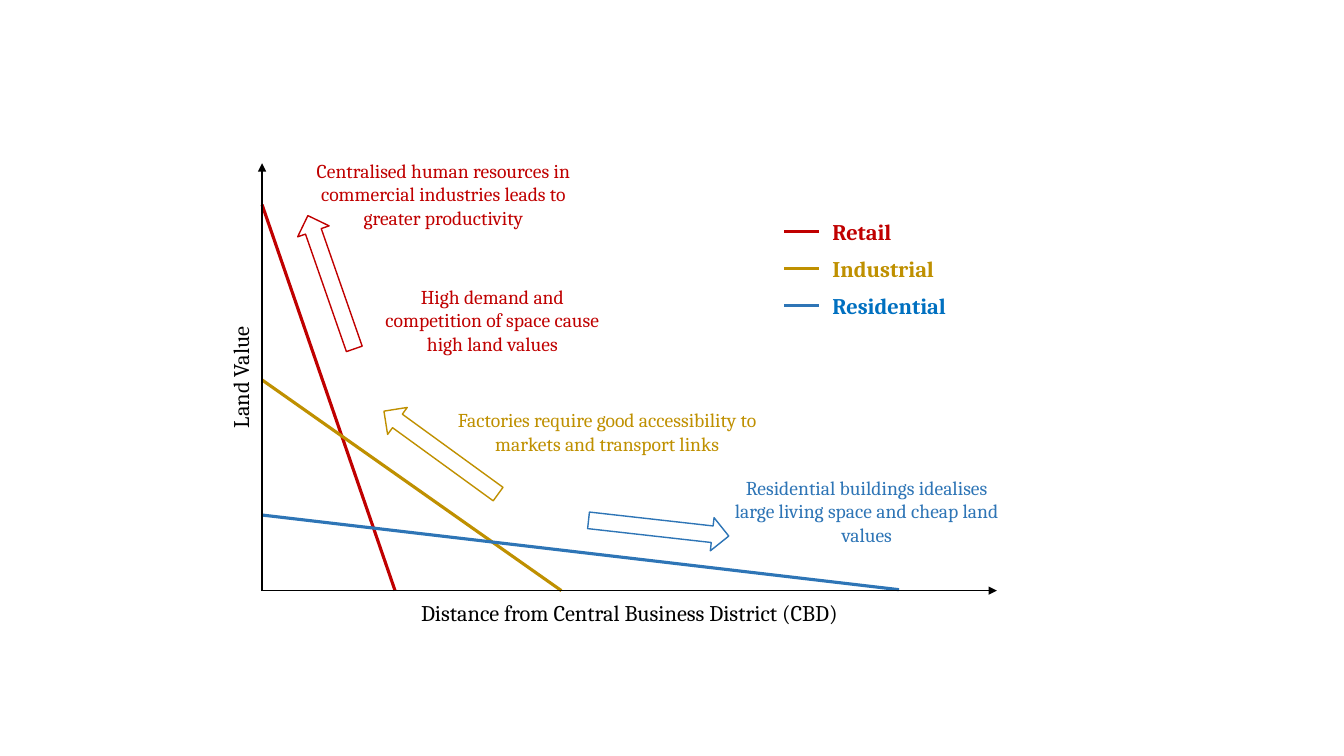
from pptx import Presentation
from pptx.dml.color import RGBColor
from pptx.enum.shapes import MSO_CONNECTOR, MSO_SHAPE
from pptx.enum.text import MSO_ANCHOR, PP_ALIGN
from pptx.oxml.ns import qn
from pptx.util import Pt
from lxml import etree

STRAIGHT = MSO_CONNECTOR.STRAIGHT
DOWN_ARROW = MSO_SHAPE.DOWN_ARROW
TOP, MIDDLE = MSO_ANCHOR.TOP, MSO_ANCHOR.MIDDLE
LEFT, CENTER = PP_ALIGN.LEFT, PP_ALIGN.CENTER

COLORS = {
    "axis": "000000",
    "retail": "C00000",
    "industrial": "BF9000",
    "residential": "2E75B6",
    "residential_key": "0070C0",
}
ORIGIN_X, ORIGIN_Y = 187.2, 421.9
ARROW_W, ARROW_H = 23.8, 100.8
KEY_STEP = 26.5


def rgb(name):
    return RGBColor.from_string(COLORS[name])


class Diagram:
    """Draws on one slide in a single font, with lengths in points."""

    def __init__(self, slide, font="Cambria"):
        self.shapes = slide.shapes
        self.font = font

    def text(self, text, x, y, w, h, color="axis", size=14, bold=False,
             align=CENTER, anchor=MIDDLE, rotation=0):
        sp = self.shapes.add_textbox(Pt(x), Pt(y), Pt(w), Pt(h))
        sp.rotation = rotation
        tf = sp.text_frame
        tf.word_wrap = True
        tf.vertical_anchor = anchor
        p = tf.paragraphs[0]
        p.alignment = align
        r = p.add_run()
        r.text = text
        r.font.name = self.font
        r.font.size = Pt(size)
        r.font.bold = bold
        r.font.color.rgb = rgb(color)

    def line(self, x1, y1, x2, y2, color, width=2.25, arrowhead=False):
        cxn = self.shapes.add_connector(STRAIGHT, Pt(x1), Pt(y1), Pt(x2), Pt(y2))
        cxn.line.color.rgb = rgb(color)
        cxn.line.width = Pt(width)
        if arrowhead:
            ln = cxn.line._get_or_add_ln()
            etree.SubElement(ln, qn("a:tailEnd"), type="triangle")
        etree.SubElement(cxn._element.spPr, qn("a:effectLst"))

    def block_arrow(self, x, y, rotation, color):
        sp = self.shapes.add_shape(DOWN_ARROW, Pt(x), Pt(y), Pt(ARROW_W), Pt(ARROW_H))
        sp.rotation = rotation
        sp.shadow.inherit = False
        sp.fill.background()
        sp.line.color.rgb = rgb(color)
        sp.line.width = Pt(1)


def main():
    prs = Presentation()
    prs.slide_width, prs.slide_height = Pt(960), Pt(540)
    d = Diagram(prs.slides.add_slide(prs.slide_layouts[6]))

    d.text("Distance from Central Business District (CBD)",
           218.9, 424.1, 461.5, 26.6, size=16, anchor=TOP)
    d.text("Land Value", 106.6, 256.3, 130.3, 26.6, size=16, anchor=TOP, rotation=270)

    # Each bid-rent line: height on the value axis, end on the distance axis
    for color, value_y, distance_x, end_y in (
        ("retail", 146.2, 282.2, ORIGIN_Y),
        ("industrial", 271.4, 401, ORIGIN_Y),
        ("residential", 367.9, 642.2, 421.2),
    ):
        d.line(ORIGIN_X, value_y, distance_x, end_y, color)

    for x, y, rotation, color in (
        (224.6, 151.2, 160.8, "retail"),
        (303.1, 272.9, 126, "industrial"),
        (458.6, 326.9, 276.4, "residential"),
    ):
        d.block_arrow(x, y, rotation, color)

    for text, x, y, w, h, color in (
        ("Centralised human resources in commercial industries leads to "
         "greater productivity", 212.4, 103.7, 208.8, 69.8, "retail"),
        ("High demand and competition of space cause high land values",
         258.5, 193.7, 186.5, 69.8, "retail"),
        ("Factories require good accessibility to markets and transport links",
         312.5, 284.4, 242.6, 48.2, "industrial"),
        ("Residential buildings idealises large living space and cheap land values",
         516.2, 321.8, 205.9, 86.4, "residential"),
    ):
        d.text(text, x, y, w, h, color)

    for i, (name, w, line_color, text_color) in enumerate((
        ("Retail", 77, "retail", "retail"),
        ("Industrial", 101.5, "industrial", "industrial"),
        ("Residential", 109.4, "residential", "residential_key"),
    )):
        y = 165.4 + i * KEY_STEP
        d.line(560.2, y, 584.9, y, line_color)
        d.text(name, 587.5, y - 14, w, 28, text_color, size=16, bold=True, align=LEFT)

    for x, y in ((ORIGIN_X, 116.6), (712.1, ORIGIN_Y)):
        d.line(ORIGIN_X, ORIGIN_Y, x, y, "axis", width=1, arrowhead=True)

    prs.save("out.pptx")


if __name__ == "__main__":
    main()
